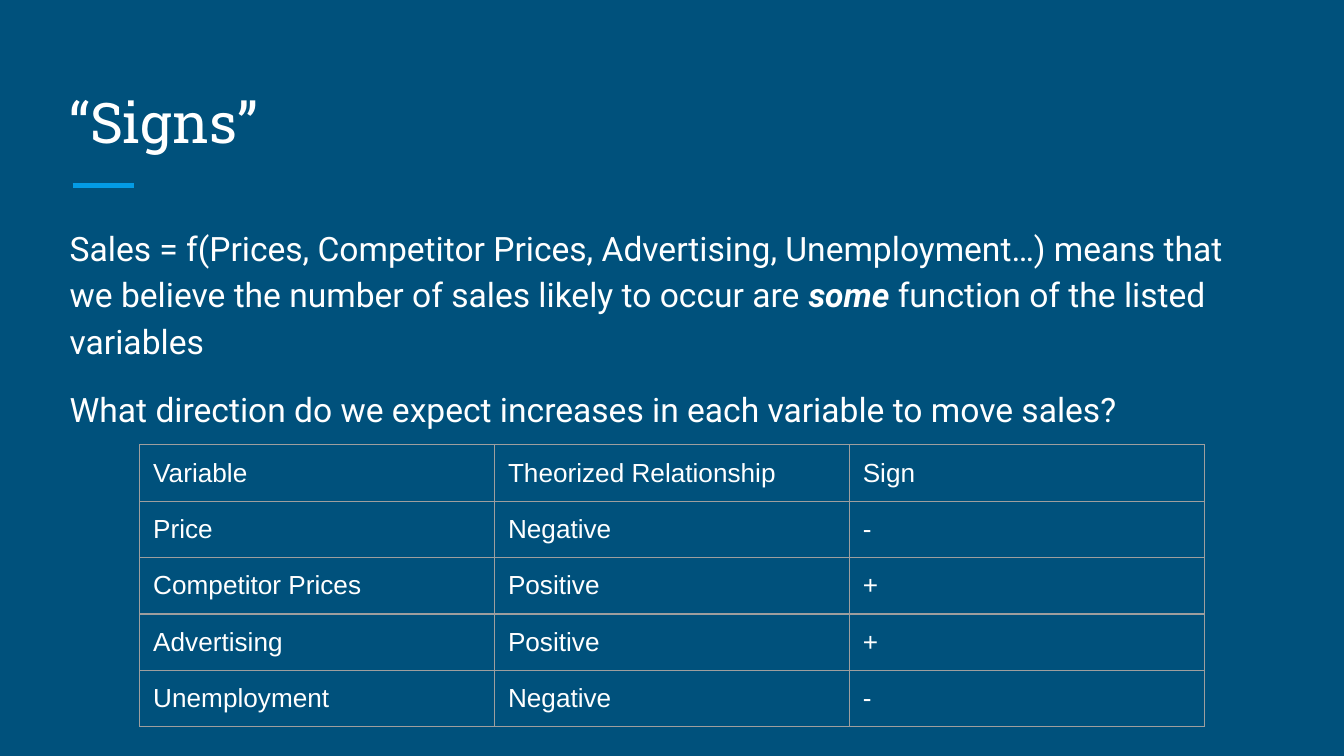
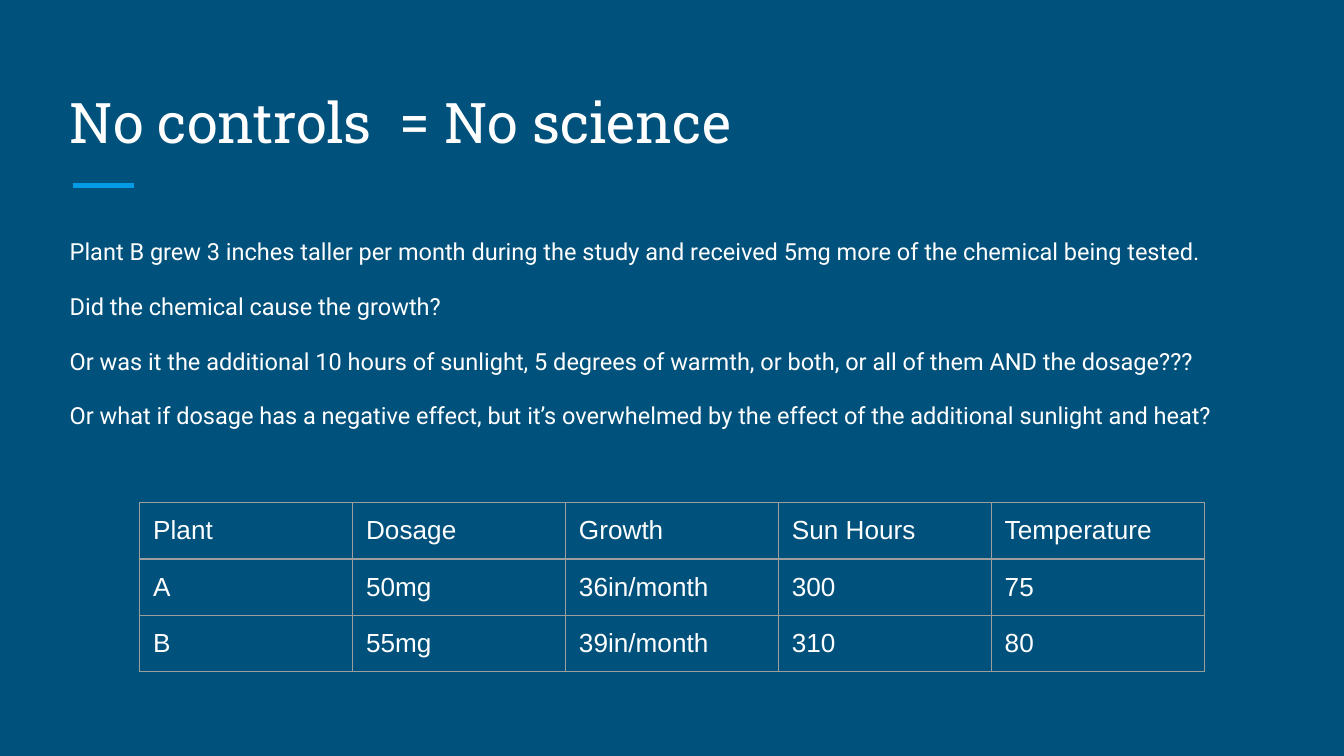
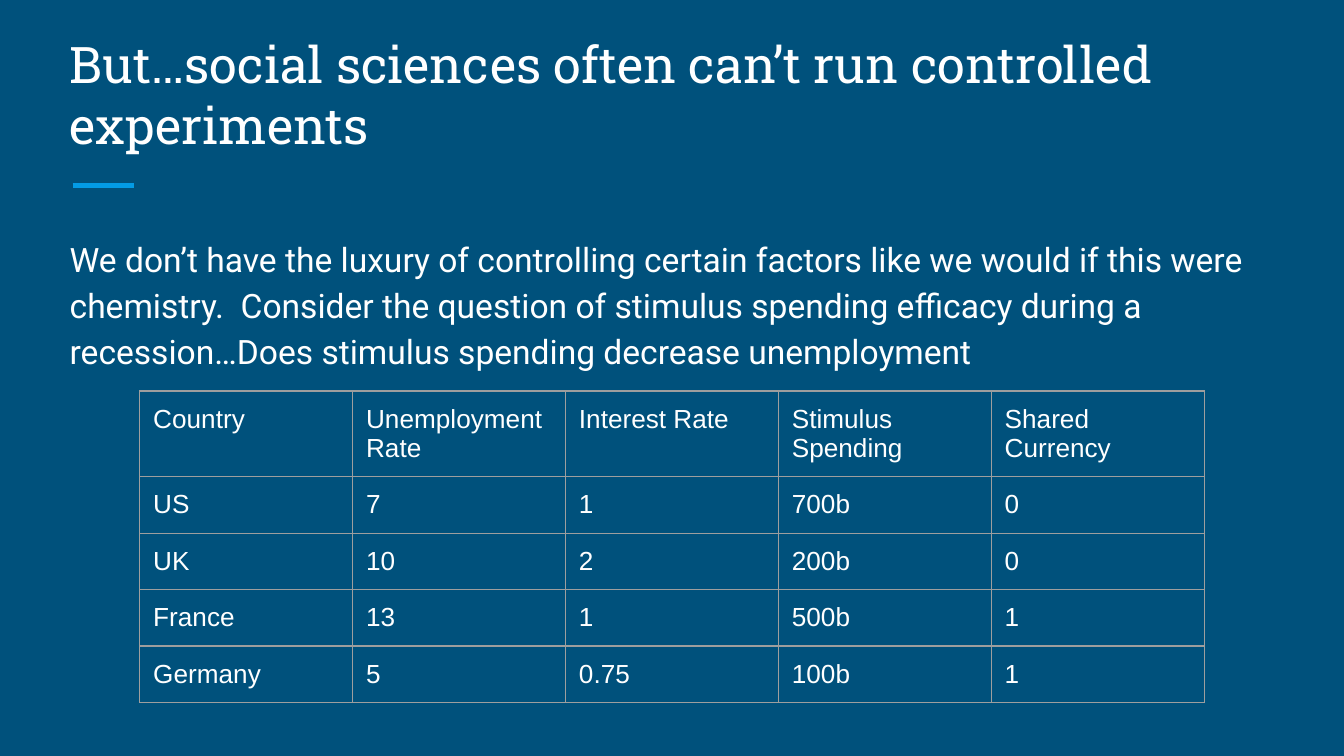
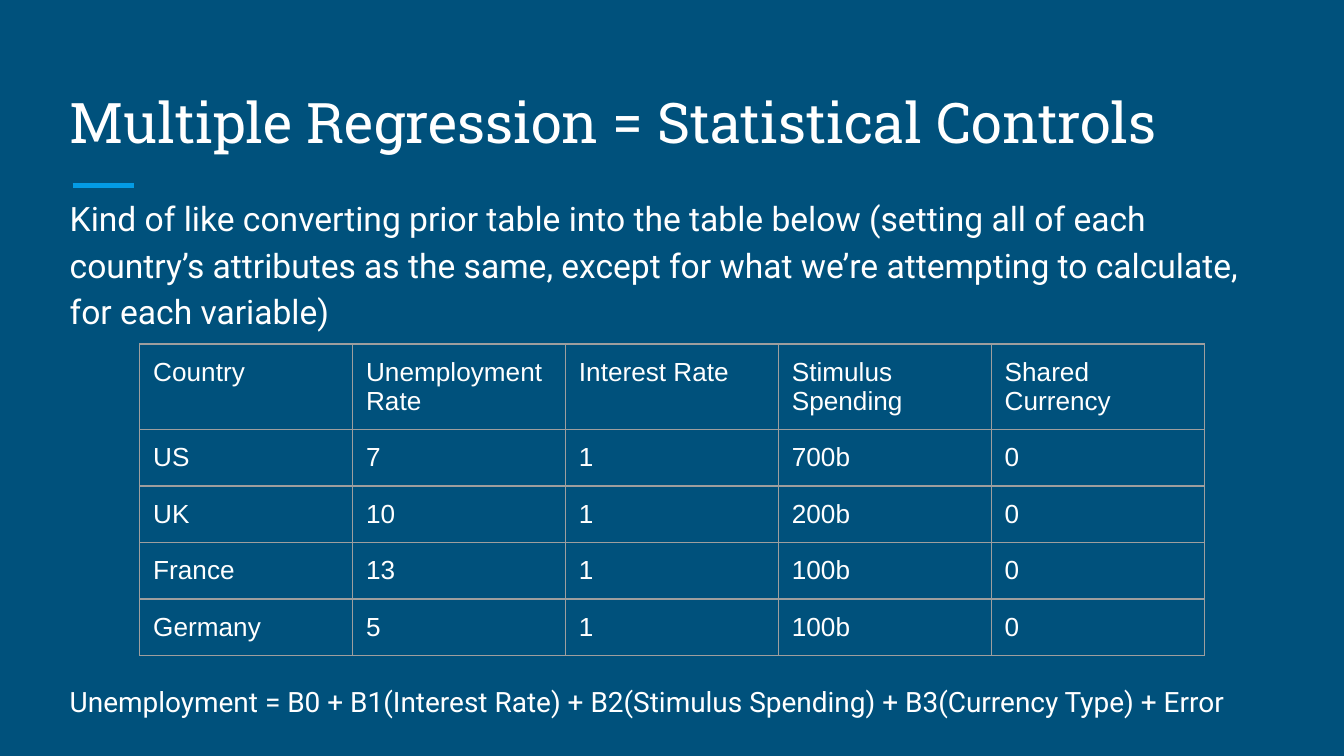
from lxml import etree
from pptx import Presentation
from pptx.dml.color import RGBColor
from pptx.enum.shapes import MSO_CONNECTOR
from pptx.enum.text import MSO_ANCHOR, MSO_AUTO_SIZE
from pptx.oxml.ns import qn
from pptx.util import Inches, Pt

STRAIGHT = MSO_CONNECTOR.STRAIGHT
TOP, BOTTOM = MSO_ANCHOR.TOP, MSO_ANCHOR.BOTTOM
NO_AUTOFIT = MSO_AUTO_SIZE.NONE

NAVY, ACCENT, WHITE, GRID = "00517C", "039BE5", "FFFFFF", "9E9E9E"
TITLE_FONT, BODY_FONT, TABLE_FONT = "Roboto Slab", "Roboto", "Arial"
SLIDE_WIDTH = 10
SLIDE_HEIGHT = SLIDE_WIDTH * 9 / 16
LEFT, WIDTH = 0.42, 9.15
TITLE_BOX = (LEFT, 0.5, WIDTH, 0.75)
INSET = 0.1
TABLE_LEFT, TABLE_WIDTH, ROW_HEIGHT = 1.04, 7.92, 0.42

COUNTRY_HEADER = ["Country", "Unemployment Rate", "Interest Rate",
                  "Stimulus Spending", "Shared Currency"]


def color(value):
    return RGBColor.from_string(value)


def write(frame, paragraphs, *, font, size, line_spacing=None, gap=0, anchor=TOP):
    frame.word_wrap = True
    frame.vertical_anchor = anchor
    frame.margin_left = frame.margin_right = Inches(INSET)
    frame.margin_top = frame.margin_bottom = Inches(INSET)
    for index, runs in enumerate(paragraphs):
        paragraph = frame.add_paragraph() if index else frame.paragraphs[0]
        if line_spacing:
            paragraph.line_spacing = line_spacing
        if index:
            paragraph.space_before = Pt(gap)
        for text, emphasis in [(runs, False)] if isinstance(runs, str) else runs:
            run = paragraph.add_run()
            run.text = text
            run.font.name = font
            run.font.size = Pt(size)
            run.font.bold = run.font.italic = emphasis
            run.font.color.rgb = color(WHITE)


def add_text(slide, box, paragraphs, **style):
    frame = slide.shapes.add_textbox(*map(Inches, box)).text_frame
    frame.auto_size = NO_AUTOFIT
    write(frame, paragraphs, **style)


def add_body(slide, top, height, paragraphs, size=18):
    add_text(slide, (LEFT, top, WIDTH, height), paragraphs,
             font=BODY_FONT, size=size, line_spacing=1.15, gap=12)


def add_accent_rule(slide, left, top, length):
    rule = slide.shapes.add_connector(
        STRAIGHT, Inches(left), Inches(top), Inches(left + length), Inches(top))
    rule.line.color.rgb = color(ACCENT)
    rule.line.width = Pt(3)
    etree.SubElement(rule._element.spPr, qn("a:effectLst"))


def titled_slide(deck, title, size=30):
    slide = deck.slides.add_slide(deck.slide_layouts[6])
    slide.background.fill.solid()
    slide.background.fill.fore_color.rgb = color(NAVY)
    add_accent_rule(slide, 0.54, 1.38, 0.46)
    add_text(slide, TITLE_BOX, [title], font=TITLE_FONT, size=size, anchor=BOTTOM)
    return slide


def outline(cell):
    properties = cell._tc.get_or_add_tcPr()
    for position, side in enumerate(("lnL", "lnR", "lnT", "lnB")):
        border = etree.Element(qn(f"a:{side}"), w=str(Pt(0.75)))
        fill = etree.SubElement(border, qn("a:solidFill"))
        etree.SubElement(fill, qn("a:srgbClr"), val=GRID)
        properties.insert(position, border)


def add_grid(slide, top, rows):
    columns = len(rows[0])
    table = slide.shapes.add_table(
        len(rows), columns, Inches(TABLE_LEFT), Inches(top),
        Inches(TABLE_WIDTH), Inches(ROW_HEIGHT * len(rows))).table
    table.first_row = table.horz_banding = False
    for column in table.columns:
        column.width = Inches(TABLE_WIDTH / columns)
    for row, values in zip(table.rows, rows):
        row.height = Inches(ROW_HEIGHT)
        for cell, value in zip(row.cells, values):
            cell.margin_left = cell.margin_right = Inches(INSET)
            cell.margin_top = cell.margin_bottom = Inches(INSET)
            cell.fill.background()
            outline(cell)
            write(cell.text_frame, [value], font=TABLE_FONT, size=14)


def signs_slide(deck):
    slide = titled_slide(deck, "“Signs”")
    add_body(slide, 1.55, 3.37, [
        [("Sales = f(Prices, Competitor Prices, Advertising, Unemployment…) means that "
          "we believe the number of sales likely to occur are ", False),
         ("some", True),
         (" function of the listed variables", False)],
        "What direction do we expect increases in each variable to move sales?",
    ])
    add_grid(slide, 3.31, [
        ["Variable", "Theorized Relationship", "Sign"],
        ["Price", "Negative", "-"],
        ["Competitor Prices", "Positive", "+"],
        ["Advertising", "Positive", "+"],
        ["Unemployment", "Negative", "-"],
    ])


def no_controls_slide(deck):
    slide = titled_slide(deck, "No controls  = No science")
    add_body(slide, 1.63, 1.79, [
        "Plant B grew 3 inches taller per month during the study and received 5mg more "
        "of the chemical being tested.",
        "Did the chemical cause the growth?",
        "Or was it the additional 10 hours of sunlight, 5 degrees of warmth, or both, "
        "or all of them AND the dosage???",
        "Or what if dosage has a negative effect, but it’s overwhelmed by the effect "
        "of the additional sunlight and heat?",
    ], size=12.6)
    add_grid(slide, 3.74, [
        ["Plant", "Dosage", "Growth", "Sun Hours", "Temperature"],
        ["A", "50mg", "36in/month", "300", "75"],
        ["B", "55mg", "39in/month", "310", "80"],
    ])


def social_sciences_slide(deck):
    slide = titled_slide(
        deck, "But…social sciences often can’t run controlled experiments", size=27)
    add_body(slide, 1.63, 3.37, [
        "We don’t have the luxury of controlling certain factors like we would if this "
        "were chemistry.  Consider the question of stimulus spending efficacy during a "
        "recession…Does stimulus spending decrease unemployment",
    ])
    add_grid(slide, 2.91, [
        COUNTRY_HEADER,
        ["US", "7", "1", "700b", "0"],
        ["UK", "10", "2", "200b", "0"],
        ["France", "13", "1", "500b", "1"],
        ["Germany", "5", "0.75", "100b", "1"],
    ])


def regression_slide(deck):
    slide = titled_slide(deck, "Multiple Regression = Statistical Controls")
    add_body(slide, 1.33, 1.55, [
        "Kind of like converting prior table into the table below (setting all of each "
        "country’s attributes as the same, except for what we’re attempting to "
        "calculate, for each variable)",
    ])
    add_grid(slide, 2.56, [
        COUNTRY_HEADER,
        ["US", "7", "1", "700b", "0"],
        ["UK", "10", "1", "200b", "0"],
        ["France", "13", "1", "100b", "0"],
        ["Germany", "5", "1", "100b", "0"],
    ])
    add_body(slide, 4.96, 0.6, [
        "Unemployment = B0 + B1(Interest Rate) + B2(Stimulus Spending) + "
        "B3(Currency Type) + Error",
    ], size=15)


def main():
    deck = Presentation()
    deck.slide_width, deck.slide_height = Inches(SLIDE_WIDTH), Inches(SLIDE_HEIGHT)
    for build in (signs_slide, no_controls_slide, social_sciences_slide, regression_slide):
        build(deck)
    deck.save("out.pptx")


if __name__ == "__main__":
    main()
